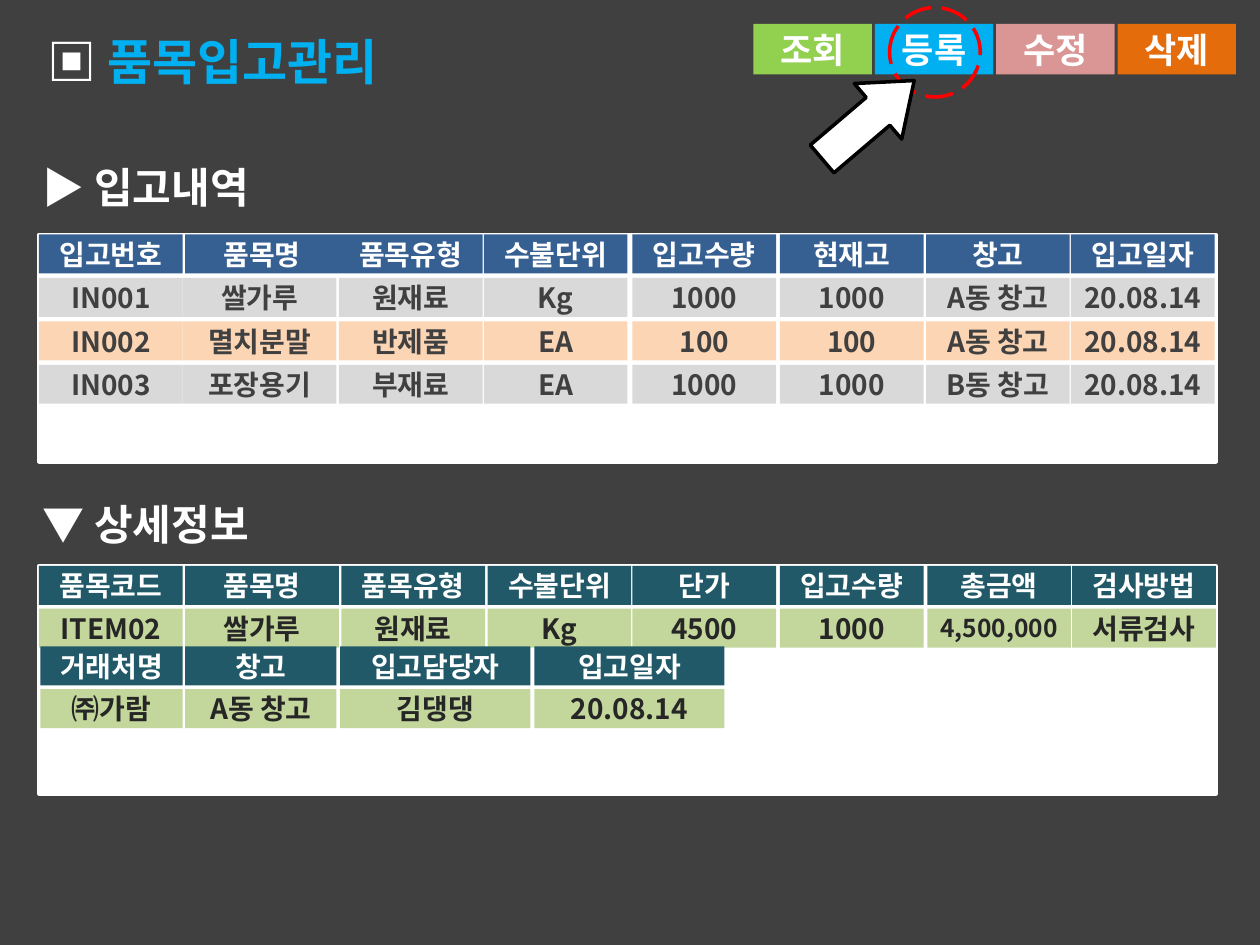
from lxml import etree
from pptx import Presentation
from pptx.dml.color import RGBColor
from pptx.enum.dml import MSO_LINE
from pptx.enum.shapes import MSO_SHAPE
from pptx.enum.text import MSO_ANCHOR, MSO_AUTO_SIZE, PP_ALIGN
from pptx.oxml.ns import qn
from pptx.util import Inches, Pt

RECT, OVAL, ARROW = MSO_SHAPE.RECTANGLE, MSO_SHAPE.OVAL, MSO_SHAPE.DOWN_ARROW
LONG_DASH = MSO_LINE.LONG_DASH
MIDDLE, CENTER = MSO_ANCHOR.MIDDLE, PP_ALIGN.CENTER
GROW = MSO_AUTO_SIZE.SHAPE_TO_FIT_TEXT

FONT = "Noto Sans CJK KR"
WHITE = RGBColor(0xFF, 0xFF, 0xFF)
BLACK = RGBColor(0x00, 0x00, 0x00)
RED = RGBColor(0xFF, 0x00, 0x00)
CHARCOAL = RGBColor(0x40, 0x40, 0x40)
INK = RGBColor(0x26, 0x26, 0x26)
SKY = RGBColor(0x00, 0xB0, 0xF0)
GREEN = RGBColor(0x92, 0xD0, 0x50)
ROSE = RGBColor(0xD9, 0x96, 0x94)
ORANGE = RGBColor(0xE4, 0x6C, 0x0A)
NAVY = RGBColor(0x37, 0x60, 0x92)
TEAL = RGBColor(0x21, 0x59, 0x68)
GRAY = RGBColor(0xD9, 0xD9, 0xD9)
PEACH = RGBColor(0xFC, 0xD5, 0xB5)
OLIVE = RGBColor(0xC3, 0xD6, 0x9B)

ROW_H = 0.31
RECEIPT_HEAD = ["입고번호", "품목명", "품목유형", "수불단위",
                "입고수량", "현재고", "창고", "입고일자"]
RECEIPTS = [
    ["IN001", "쌀가루", "원재료", "Kg", "1000", "1000", "A동 창고", "20.08.14"],
    ["IN002", "멸치분말", "반제품", "EA", "100", "100", "A동 창고", "20.08.14"],
    ["IN003", "포장용기", "부재료", "EA", "1000", "1000", "B동 창고", "20.08.14"],
]
ITEM_HEAD = ["품목코드", "품목명", "품목유형", "수불단위",
             "단가", "입고수량", "총금액", "검사방법"]
ITEM = ["ITEM02", "쌀가루", "원재료", "Kg", "4500", "1000", "4,500,000", "서류검사"]
SUPPLY_HEAD = ["거래처명", "창고", "입고담당자", "입고일자"]
SUPPLY = ["㈜가람", "A동 창고", "김댕댕", "20.08.14"]

# Column offsets from the panel's left edge
RECEIPT_HEAD_LEFTS = [0, 1.16, 2.38, 3.53, 4.71, 5.88, 7.04, 8.19]
RECEIPT_LEFTS = [0, 1.14] + RECEIPT_HEAD_LEFTS[2:]
ITEM_LEFTS = [0, 1.16, 2.4, 3.56, 4.71, 5.88, 7.05, 8.2]
WIDE_WIDTHS = [1.14, 1.22] + [1.14] * 6
SUPPLY_LEFTS = [0.01, 1.16, 2.39, 3.93]
SUPPLY_WIDTHS = [1.13, 1.2, 1.51, 1.51]


def add_run(paragraph, text, size, color):
    """Append a bold run in the slide's font."""
    run = paragraph.add_run()
    run.text = text
    style = {"name": FONT, "size": Pt(size), "bold": True}
    for key, value in style.items():
        setattr(run.font, key, value)
    run.font.color.rgb = color
    east_asian = etree.SubElement(run.font._element, qn("a:ea"))
    east_asian.set("typeface", FONT)


def add_figure(slide, kind, box, fill=None, line=None):
    """Draw a shape without shadow; no fill or line unless given."""
    figure = slide.shapes.add_shape(kind, *map(Inches, box))
    figure.shadow.inherit = False
    if fill is None:
        figure.fill.background()
    else:
        figure.fill.solid()
        figure.fill.fore_color.rgb = fill
    if line is None:
        figure.line.fill.background()
    else:
        figure.line.color.rgb = line
        figure.line.width = Pt(2)
    return figure


def add_label(slide, box, text, fill, color=WHITE, size=16):
    """Draw a filled rectangle with centred text."""
    frame = add_figure(slide, RECT, box, fill).text_frame
    layout = {"margin_left": 0, "margin_right": 0, "margin_top": 0,
              "margin_bottom": 0, "vertical_anchor": MIDDLE, "word_wrap": True}
    for key, value in layout.items():
        setattr(frame, key, value)
    frame.paragraphs[0].alignment = CENTER
    add_run(frame.paragraphs[0], text, size, color)


def add_heading(slide, box, parts, size):
    """Write a heading made of (text, colour) parts."""
    frame = slide.shapes.add_textbox(*map(Inches, box)).text_frame
    for key, value in {"word_wrap": True, "auto_size": GROW}.items():
        setattr(frame, key, value)
    for text, color in parts:
        add_run(frame.paragraphs[0], text, size, color)


def add_row(slide, left, top, lefts, widths, texts, fill, color=WHITE):
    """Place one row of cells from the given left and top."""
    for offset, width, text in zip(lefts, widths, texts):
        size = 14 if text == "4,500,000" else 16
        add_label(slide, (left + offset, top, width, ROW_H), text, fill, color, size)


def add_receipts(slide, box):
    """Receipt list: header and striped rows on a white panel."""
    left, top = box[:2]
    add_figure(slide, RECT, box, WHITE, WHITE)
    add_row(slide, left, top, RECEIPT_HEAD_LEFTS, WIDE_WIDTHS, RECEIPT_HEAD, NAVY)
    for index, receipt in enumerate(RECEIPTS, start=1):
        add_row(slide, left, top + index * 0.345, RECEIPT_LEFTS, WIDE_WIDTHS,
                receipt, GRAY if index % 2 else PEACH, CHARCOAL)


def add_details(slide, box):
    """Item details: two header and value pairs on a white panel."""
    left, top = box[:2]
    add_figure(slide, RECT, box, WHITE, WHITE)
    groups = [(0, ITEM_LEFTS, WIDE_WIDTHS, ITEM_HEAD, ITEM),
              (0.64, SUPPLY_LEFTS, SUPPLY_WIDTHS, SUPPLY_HEAD, SUPPLY)]
    for offset, lefts, widths, heads, values in groups:
        add_row(slide, left, top + offset, lefts, widths, heads, TEAL)
        add_row(slide, left, top + offset + 0.34, lefts, widths, values, OLIVE, INK)


def add_buttons(slide, box):
    """Action buttons spread evenly over the box."""
    left, top, width, height = box
    buttons = [("조회", GREEN), ("등록", SKY), ("수정", ROSE), ("삭제", ORANGE)]
    button_w = 0.94
    step = (width - button_w) / (len(buttons) - 1)
    for index, (text, fill) in enumerate(buttons):
        add_label(slide, (left + index * step, top, button_w, height),
                  text, fill, size=20)


def add_pointer(slide, box):
    """Dashed ring with an arrow pointing at it from the lower left."""
    left, top = box[:2]
    ring = add_figure(slide, OVAL, box, line=RED)
    ring.line.dash_style = LONG_DASH
    arrow = add_figure(slide, ARROW, (left - 0.46, top + 0.41, 0.58, 0.96),
                       WHITE, BLACK)
    arrow.rotation = 229.6
    arrow.adjustments[0] = 0.5
    arrow.adjustments[1] = 0.65


def build():
    """Build and save the item receipt screen."""
    deck = Presentation()
    deck.slide_width, deck.slide_height = Inches(10), Inches(7.5)
    slide = deck.slides.add_slide(deck.slide_layouts[6])
    add_figure(slide, RECT, (0, 0, 10, 7.5), CHARCOAL)
    add_heading(slide, (0.28, 0.2, 3.31, 0.57),
                [("▣ ", WHITE), ("품목입고관리", SKY)], 28)
    add_buttons(slide, (5.98, 0.19, 3.83, 0.4))
    add_heading(slide, (0.24, 1.23, 2.35, 0.5), [("▶ 입고내역", WHITE)], 24)
    add_receipts(slide, (0.31, 1.86, 9.34, 1.81))
    add_heading(slide, (0.24, 3.91, 2.35, 0.5), [("▼ 상세정보", WHITE)], 24)
    add_details(slide, (0.31, 4.49, 9.34, 1.81))
    add_pointer(slide, (7.06, 0.06, 0.72, 0.71))
    deck.save("out.pptx")


build()
